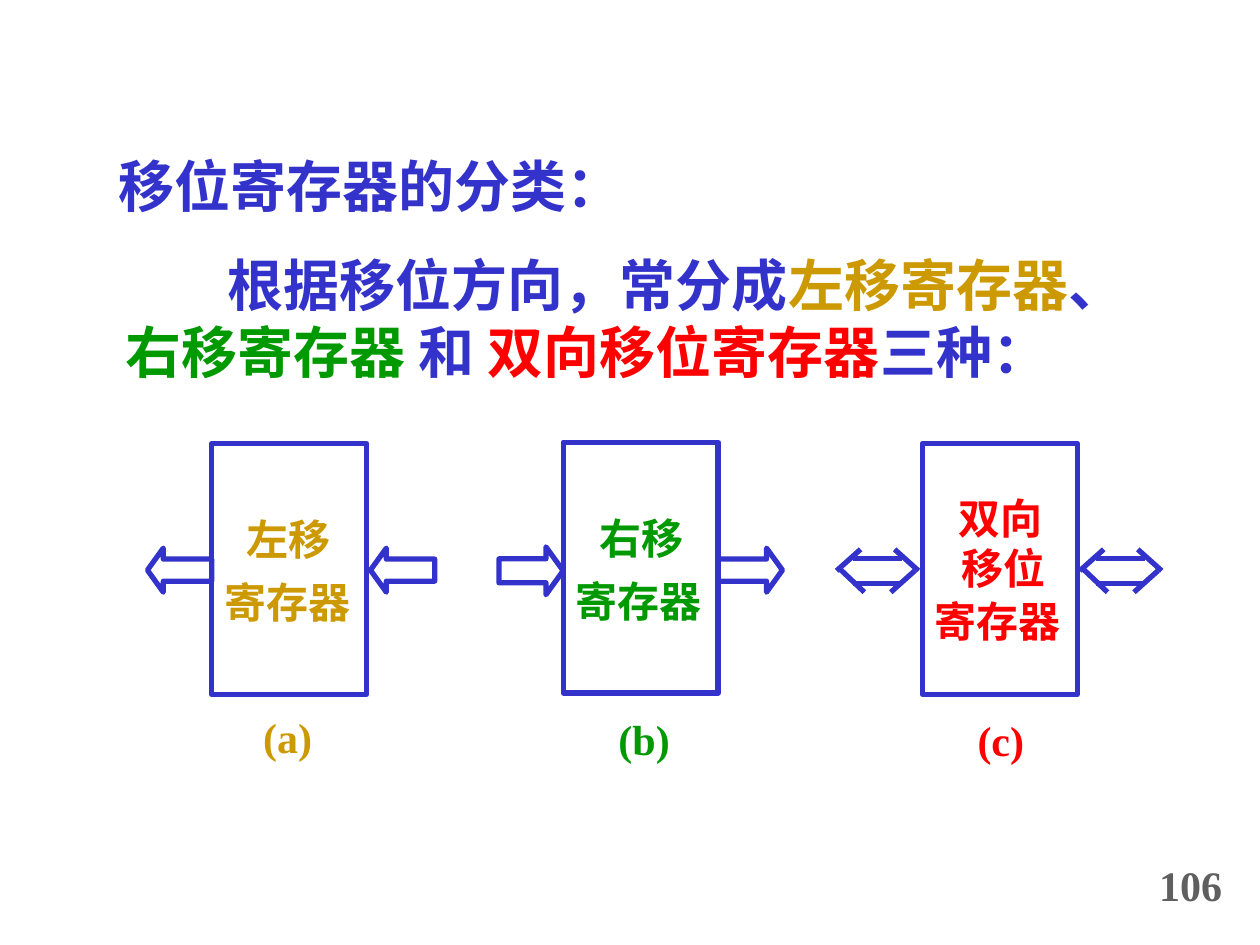
from dataclasses import dataclass

from lxml import etree
from pptx import Presentation, util as u
from pptx.dml.color import RGBColor
from pptx.enum import shapes, text
from pptx.oxml.ns import qn


@dataclass(frozen=True)
class Theme:
    font: str = "Times New Roman"
    blue: str = "3333CC"
    gold: str = "CC9900"
    green: str = "009900"
    red: str = "FF0000"
    gray: str = "5F5F5F"
    heading: int = 32
    label: int = 24
    line: int = 3


THEME = Theme()
LEFT = shapes.MSO_SHAPE.LEFT_ARROW
RIGHT = shapes.MSO_SHAPE.RIGHT_ARROW

DOUBLE_ARROW = [
    ((0.13, 0.07), (0.52, 0.07)),
    ((0.13, 0.27), (0.52, 0.27)),
    ((0.03, 0.16), (0.22, 0.34)),
    ((0.19, 0), (0, 0.17)),
    ((0.62, 0.17), (0.43, 0.34)),
    ((0.46, 0), (0.65, 0.17)),
]


def add_text(slide, box, runs, size, wrap=False, indent=0, spacing=None):
    shape = slide.shapes.add_textbox(*map(u.Inches, box))
    frame = shape.text_frame
    frame.word_wrap = wrap
    frame.vertical_anchor = text.MSO_ANCHOR.TOP
    paragraph = frame.paragraphs[0]
    if indent:
        paragraph._p.get_or_add_pPr().set("indent", str(u.Inches(indent)))
    if spacing:
        paragraph.line_spacing = spacing
    paragraph.font.name = THEME.font
    paragraph.font.size = u.Pt(size)
    paragraph.font.bold = True
    for words, color in runs:
        run = paragraph.add_run()
        run.text = words
        run.font.color.rgb = RGBColor.from_string(color)


def set_line(line):
    line.color.rgb = RGBColor.from_string(THEME.blue)
    line.width = u.Pt(THEME.line)


def add_outline(slide, preset, box):
    shape = slide.shapes.add_shape(preset, *map(u.Inches, box))
    shape.shadow.inherit = False
    shape.fill.background()
    set_line(shape.line)
    return shape


def add_arrow(slide, preset, left, top=4.35, height=0.35):
    arrow = add_outline(slide, preset, (left, top, 0.51, height))
    arrow.adjustments[0] = 0.5
    arrow.adjustments[1] = 0.36


def add_double_arrow(slide, left, top=4.36):
    for (x1, y1), (x2, y2) in DOUBLE_ARROW:
        ends = (left + x1, top + y1, left + x2, top + y2)
        connector = slide.shapes.add_connector(
            shapes.MSO_CONNECTOR.STRAIGHT, *map(u.Inches, ends))
        etree.SubElement(connector._element.spPr, qn("a:effectLst"))
        set_line(connector.line)


def add_register(slide, left, top, color, name_lines, caption, caption_at):
    add_outline(slide, shapes.MSO_SHAPE.RECTANGLE, (left, top, 1.23, 1.99))
    for words, x, y, width in [*name_lines, (caption, *caption_at, 0.79)]:
        add_text(slide, (left + x, top + y, width, 0.5), [(words, color)], THEME.label)


def main():
    presentation = Presentation()
    presentation.slide_width = u.Inches(10)
    presentation.slide_height = u.Inches(7.5)
    slide = presentation.slides.add_slide(presentation.slide_layouts[6])

    add_text(slide, (0.84, 1.15, 4.36, 0.64),
             [("移位寄存器的分类：", THEME.blue)], THEME.heading)
    add_text(slide, (0.9, 1.94, 8.43, 1.17), [
        ("根据移位方向，常分成", THEME.blue),
        ("左移寄存器", THEME.gold),
        ("、", THEME.blue),
        ("右移寄存器 ", THEME.green),
        ("和 ", THEME.blue),
        ("双向移位寄存器", THEME.red),
        ("三种：", THEME.blue),
    ], THEME.heading, wrap=True, indent=0.81)

    add_arrow(slide, LEFT, 2.94)
    add_arrow(slide, LEFT, 1.17)
    add_register(slide, 1.68, 3.52, THEME.gold,
                 [("左移", 0.18, 0.51, 1.04), ("寄存器", 0, 1.01, 1.28)],
                 "(a)", (0.31, 2.08))

    add_arrow(slide, RIGHT, 5.7)
    add_arrow(slide, RIGHT, 3.96, 4.34, 0.38)
    add_register(slide, 4.47, 3.51, THEME.green,
                 [("右移", 0.19, 0.51, 1.04), ("寄存器", 0, 1.01, 1.28)],
                 "(b)", (0.34, 2.1))

    add_double_arrow(slide, 8.57)
    add_double_arrow(slide, 6.64)
    add_register(slide, 7.32, 3.52, THEME.red,
                 [("双向", 0.19, 0.34, 1.04), ("移位", 0.21, 0.74, 0.98),
                  ("寄存器", 0, 1.16, 1.28)],
                 "(c)", (0.34, 2.1))

    add_text(slide, (9.1, 6.82, 0.71, 0.46), [("106", THEME.gray)],
             THEME.label, spacing=0.9)
    presentation.save("out.pptx")


if __name__ == "__main__":
    main()
